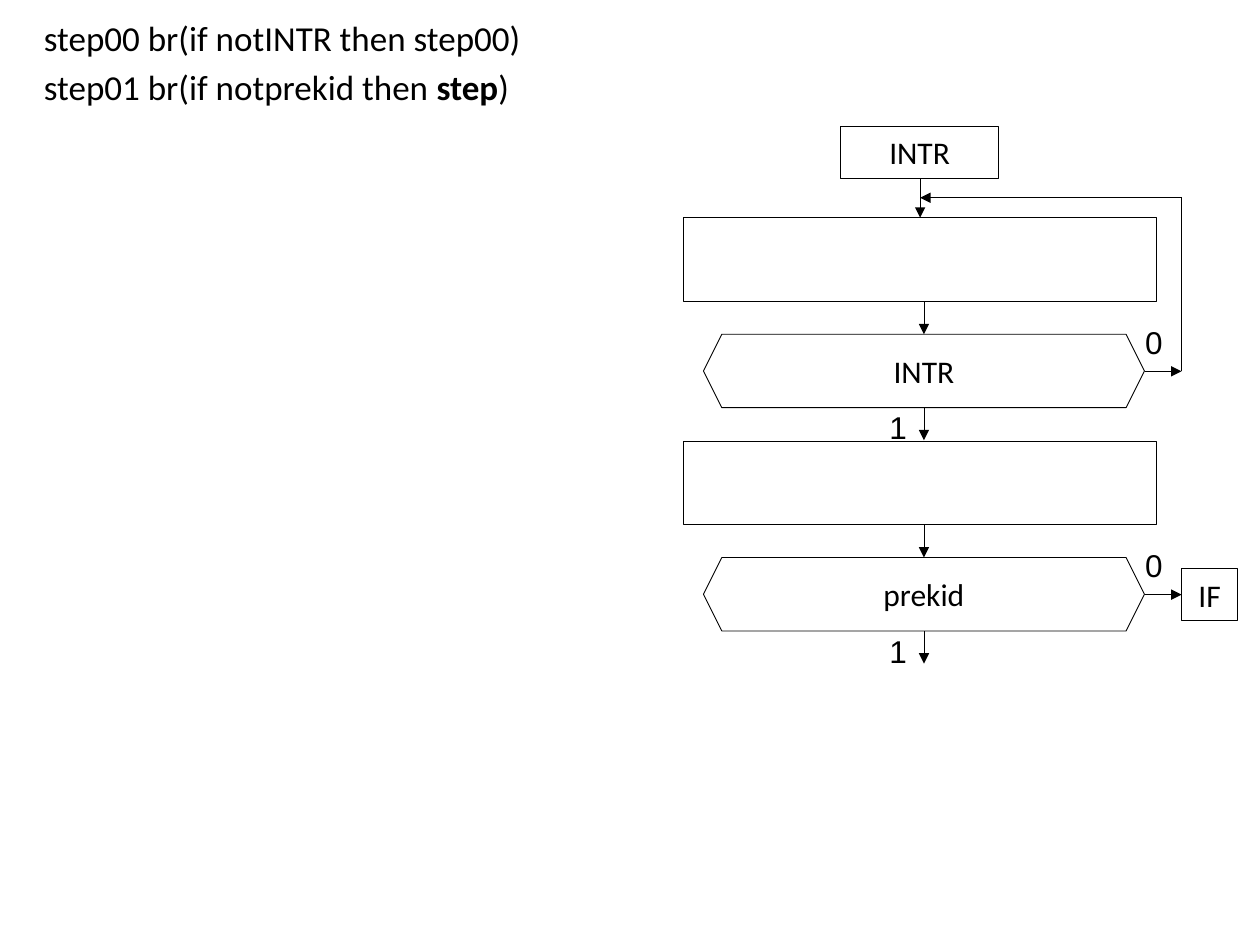
from lxml.etree import SubElement
from pptx import Presentation
from pptx.dml.color import RGBColor
from pptx.enum.shapes import MSO_CONNECTOR, MSO_SHAPE
from pptx.enum.text import MSO_ANCHOR, MSO_AUTO_SIZE, PP_ALIGN
from pptx.oxml.ns import qn
from pptx.util import Pt

BLACK = RGBColor(0x00, 0x00, 0x00)
WHITE = RGBColor(0xFF, 0xFF, 0xFF)
LINE_WIDTH = Pt(0.5)


def add_node(shapes, kind, left, top, width, height, label=""):
    """Add a white outlined flowchart node with a centred label."""
    node = shapes.add_shape(kind, Pt(left), Pt(top), Pt(width), Pt(height))
    node.shadow.inherit = False
    node.fill.solid()
    node.fill.fore_color.rgb = WHITE
    node.line.color.rgb = BLACK
    node.line.width = LINE_WIDTH
    if label:
        node.text_frame.vertical_anchor = MSO_ANCHOR.MIDDLE
        para = node.text_frame.paragraphs[0]
        para.text = label
        para.alignment = PP_ALIGN.CENTER
        para.font.size = Pt(18)
        para.font.name = "Calibri"
        para.font.color.rgb = BLACK


def add_line(shapes, x1, y1, x2, y2, arrow=True):
    """Add a thin black line, with an arrowhead at its end if wanted."""
    line = shapes.add_connector(
        MSO_CONNECTOR.STRAIGHT, Pt(x1), Pt(y1), Pt(x2), Pt(y2))
    line.line.color.rgb = BLACK
    line.line.width = LINE_WIDTH
    if arrow:
        SubElement(line.line._get_or_add_ln(), qn("a:tailEnd"), type="triangle")
    SubElement(line._element.spPr, qn("a:effectLst"))


deck = Presentation()
deck.slide_width, deck.slide_height = Pt(720), Pt(540)
page = deck.slides.add_slide(deck.slide_layouts[6])

# Start of the flow
START_X = 525.8
FLOW_X = 528
RETURN_X = 675.2
RETURN_Y = 113
add_node(page.shapes, MSO_SHAPE.RECTANGLE, 480.5, 72, 90, 29.8, "INTR")
add_line(page.shapes, START_X, 101.8, START_X, 124.4)

# Each step: an empty action box followed by a decision
FIRST_TOP = 124.4
STEP_PITCH = 127.6
for index, condition in enumerate(["INTR", "prekid"]):
    top = FIRST_TOP + index * STEP_PITCH
    add_node(page.shapes, MSO_SHAPE.RECTANGLE, 390.8, top, 270, 48)

    decision = page.shapes.add_group_shape().shapes
    add_node(decision, MSO_SHAPE.HEXAGON, 402, top + 66.6, 252, 42, condition)
    add_line(decision, 654.2, top + 87.8, RETURN_X, top + 87.8)
    add_line(decision, FLOW_X, top + 48, FLOW_X, top + 66.6)
    add_line(decision, FLOW_X, top + 108.6, FLOW_X, top + 127.2)
    for value, left, offset in [("0", 647.3, 56.4), ("1", 501.1, 105.4)]:
        box = decision.add_textbox(Pt(left), Pt(top + offset), Pt(24.4), Pt(28.8))
        box.text_frame.word_wrap = False
        box.text_frame.auto_size = MSO_AUTO_SIZE.SHAPE_TO_FIT_TEXT
        para = box.text_frame.paragraphs[0]
        para.text = value
        para.font.size = Pt(18)
        para.font.name = "Arial"
        para.font.color.rgb = BLACK

# Loop back from the first decision, and exit of the second
add_line(page.shapes, RETURN_X, RETURN_Y, RETURN_X, FIRST_TOP + 87.8, arrow=False)
add_line(page.shapes, RETURN_X, RETURN_Y, START_X, RETURN_Y)
add_node(page.shapes, MSO_SHAPE.RECTANGLE, RETURN_X, 324.9, 32, 29.6, "IF")

# Microprogram text
program = page.shapes.add_textbox(Pt(18), Pt(5.8), Pt(349.2), Pt(527.8))
frame = program.text_frame
frame.word_wrap = True
steps = [
    [("step00 br(if notINTR then step00)", False)],
    [("step01 br(if notprekid then ", False), ("step", True), (")", False)],
]
for index, spans in enumerate(steps):
    para = frame.add_paragraph() if index else frame.paragraphs[0]
    para.alignment = PP_ALIGN.JUSTIFY
    para.space_before = Pt(4)
    para.font.size = Pt(20)
    para.font.name = "Calibri"
    para.font.color.rgb = BLACK
    for text, bold in spans:
        span = para.add_run()
        span.text = text
        if bold:
            span.font.bold = True

deck.save("out.pptx")
